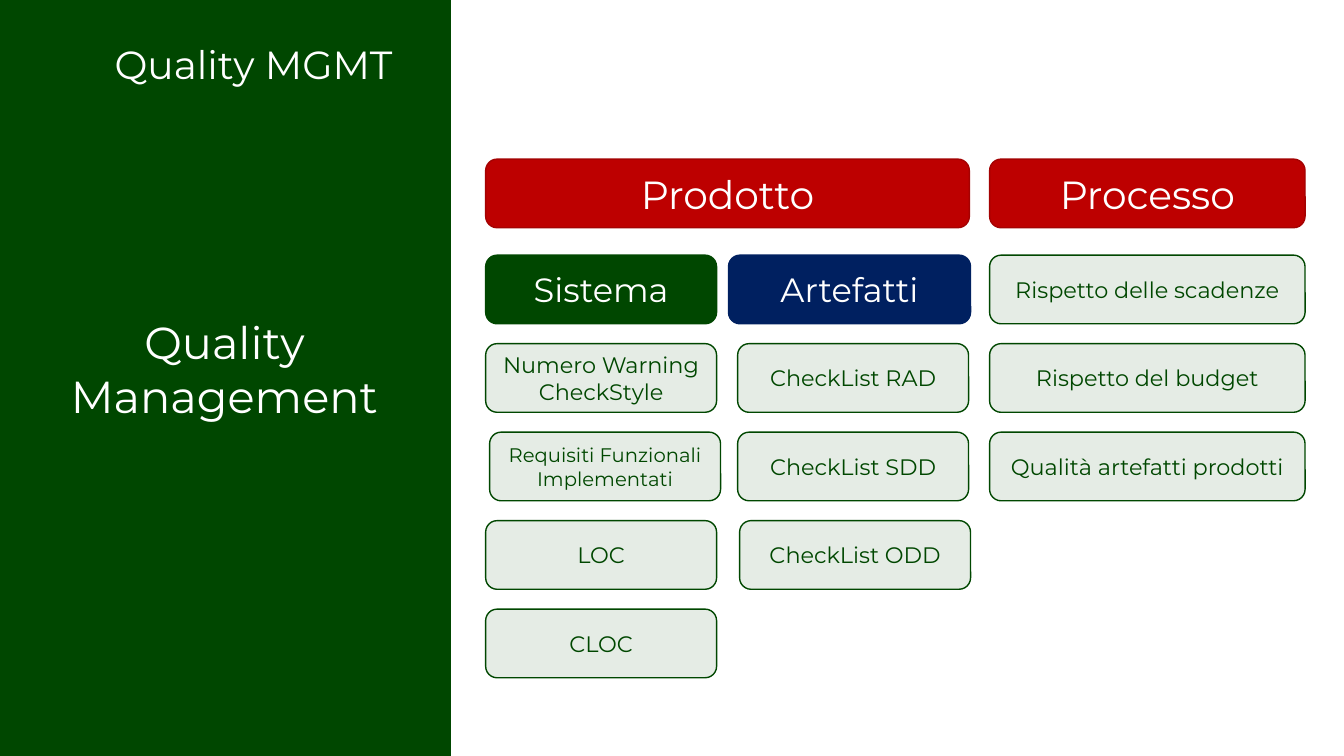
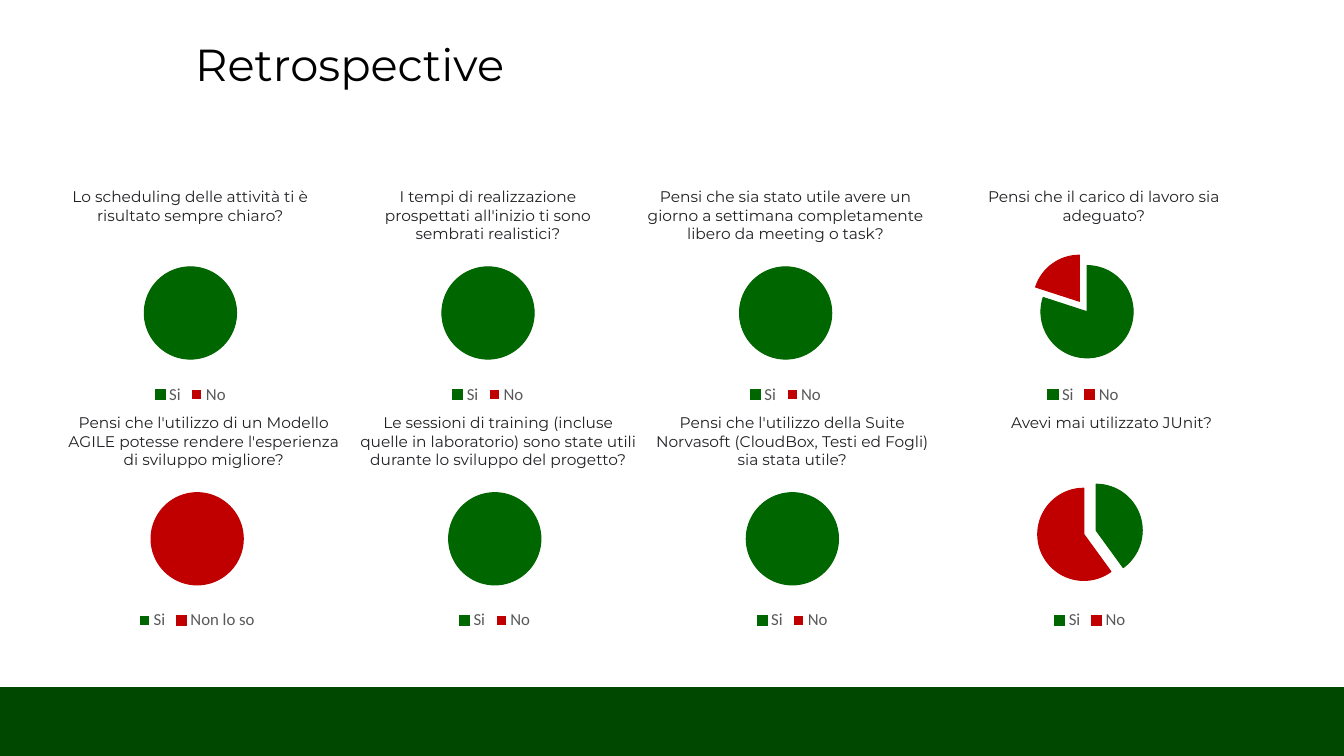
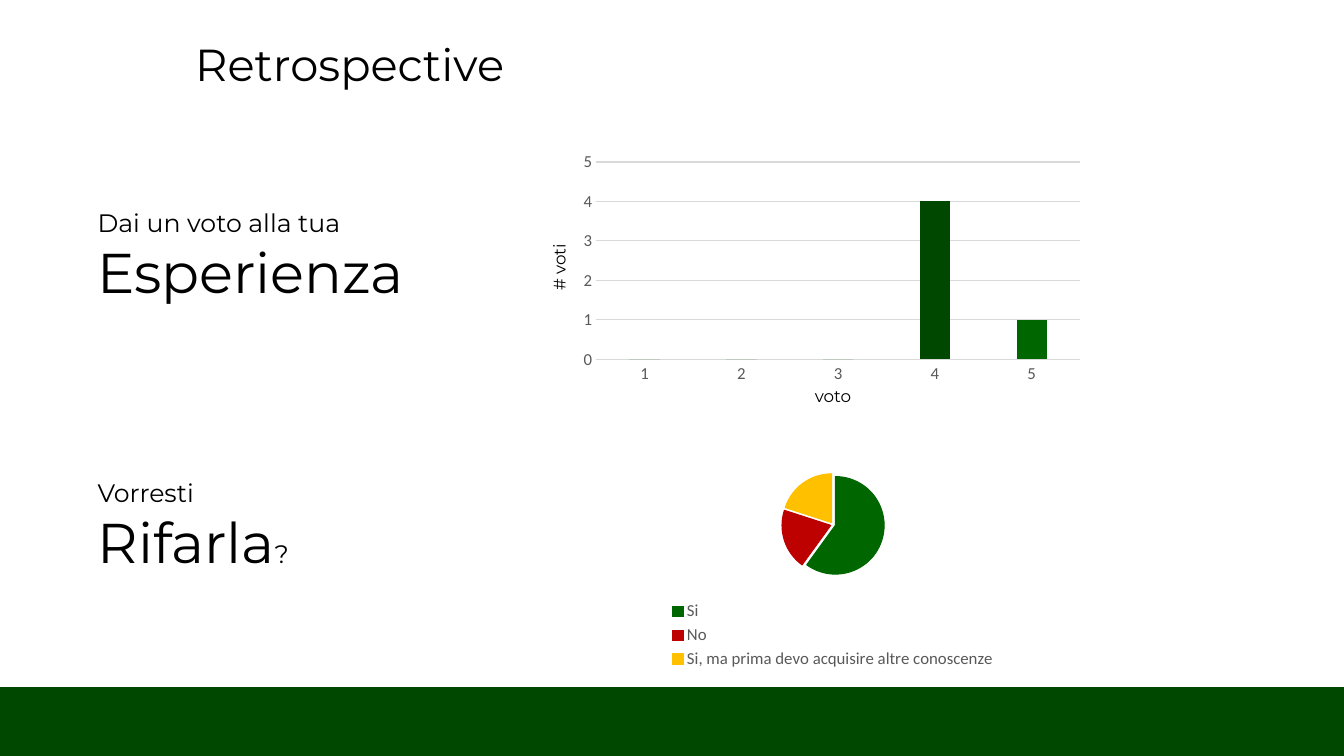
from lxml.etree import SubElement
from pptx import Presentation
from pptx.chart.data import CategoryChartData
from pptx.dml.color import RGBColor
from pptx.enum.chart import XL_CHART_TYPE, XL_LEGEND_POSITION, XL_TICK_MARK
from pptx.enum.shapes import MSO_SHAPE
from pptx.enum.text import MSO_ANCHOR, MSO_AUTO_SIZE, PP_ALIGN
from pptx.oxml.ns import qn
from pptx.util import Cm, Pt

COLOURS = {
    "white": "FFFFFF", "black": "000000", "question": "202124",
    "green": "004700", "leaf": "006600", "blue": "002060",
    "red": "BD0000", "dark red": "A40202", "bright red": "C00000",
    "yellow": "FFC000", "axis": "595959", "grid": "D9D9D9",
}
TEXT_FONT = "Montserrat"
CHART_FONT = "Calibri"
WIDTH, HEIGHT = 33.87, 19.05
CARD_HEIGHT = 1.73


def colour(name):
    return RGBColor.from_string(COLOURS[name])


def lengths(*values):
    return [Cm(value) for value in values]


def write(box, *lines, size, ink="black", align=PP_ALIGN.LEFT, indent=0):
    """Fill a shape with lines; a line is a text or a list of (text, size) spans."""
    frame = box.text_frame
    frame.word_wrap = True
    for index, line in enumerate(lines):
        para = frame.paragraphs[0] if index == 0 else frame.add_paragraph()
        para.alignment = align
        if indent:
            para.level = 1
            para._p.get_or_add_pPr().set("marL", str(Cm(indent)))
        for text, span_size in [(line, size)] if isinstance(line, str) else line:
            span = para.add_run()
            span.text = text
            span.font.name = TEXT_FONT
            span.font.size = Pt(span_size)
            span.font.color.rgb = colour(ink)


def add_text(page, area, *lines, **style):
    box = page.shapes.add_textbox(*lengths(*area))
    write(box, *lines, **style)
    box.text_frame.auto_size = MSO_AUTO_SIZE.SHAPE_TO_FIT_TEXT
    return box


def add_block(page, area, fill, edge=None, kind=MSO_SHAPE.RECTANGLE, opacity=None):
    block = page.shapes.add_shape(kind, *lengths(*area))
    block.shadow.inherit = False
    block.fill.solid()
    block.fill.fore_color.rgb = colour(fill)
    block.line.color.rgb = colour(edge or fill)
    block.line.width = Pt(1)
    if opacity:
        tint = block._element.spPr.find(qn("a:solidFill")).find(qn("a:srgbClr"))
        SubElement(tint, qn("a:alpha"), val=str(opacity * 1000))
    return block


def add_card(page, left, top, width, text, size=16, ink="green", **look):
    area = (left, top, width, CARD_HEIGHT)
    card = add_block(page, area, kind=MSO_SHAPE.ROUNDED_RECTANGLE, **look)
    card.text_frame.vertical_anchor = MSO_ANCHOR.MIDDLE
    write(card, text, size=size, ink=ink, align=PP_ALIGN.CENTER)


def style_font(font, size=12, ink="axis"):
    font.name = CHART_FONT
    font.size = Pt(size)
    font.color.rgb = colour(ink)


def add_plain_chart(page, area, kind, categories, values):
    data = CategoryChartData()
    data.categories = categories
    data.add_series("Series 1", values)
    chart = page.shapes.add_chart(kind, *lengths(*area), data).chart
    chart.has_title = False
    chart.has_legend = False
    style_font(chart.font, size=10, ink="black")
    return chart


def add_pie(page, area, answers, inks, explosion):
    """Draw a pie from a dict of answer and percentage."""
    chart = add_plain_chart(page, area, XL_CHART_TYPE.PIE,
                            list(answers), list(answers.values()))
    chart.has_legend = True
    chart.legend.position = XL_LEGEND_POSITION.BOTTOM
    chart.legend.include_in_layout = False
    style_font(chart.legend.font)
    plot = chart.plots[0]
    plot.vary_by_categories = True
    series = plot.series[0]
    burst = series._element.makeelement(qn("c:explosion"), {"val": str(explosion)})
    series._element.find(qn("c:tx")).addnext(burst)
    for index, (value, ink) in enumerate(zip(answers.values(), inks)):
        look = series.points[index].format
        look.fill.solid()
        look.fill.fore_color.rgb = colour(ink)
        look.line.color.rgb = colour(ink if value else "white")
        look.line.width = Pt(0.75)


def add_vote_columns(page, area, votes):
    chart = add_plain_chart(page, area, XL_CHART_TYPE.COLUMN_CLUSTERED,
                            list(votes), list(votes.values()))
    plot = chart.plots[0]
    plot.vary_by_categories = False
    plot.gap_width = 219
    plot.overlap = -27
    series = plot.series[0]
    series.invert_if_negative = False
    most_voted = series.points[list(votes.values()).index(max(votes.values()))]
    for part, ink in ((series, "leaf"), (most_voted, "green")):
        part.format.fill.solid()
        part.format.fill.fore_color.rgb = colour(ink)

    for axis in (chart.category_axis, chart.value_axis):
        axis.major_tick_mark = axis.minor_tick_mark = XL_TICK_MARK.NONE
        style_font(axis.tick_labels.font)
    scale = chart.value_axis
    scale.minimum_scale, scale.maximum_scale, scale.major_unit = 0, 5, 1
    scale.format.line.fill.background()
    scale.has_major_gridlines = True
    for line in (chart.category_axis.format.line, scale.major_gridlines.format.line):
        line.color.rgb = colour("grid")
        line.width = Pt(0.75)


def add_page(deck):
    return deck.slides.add_slide(deck.slide_layouts[6])


def add_retrospective_page(deck):
    page = add_page(deck)
    add_block(page, (0, HEIGHT - CARD_HEIGHT, WIDTH, CARD_HEIGHT), "green")
    add_text(page, (3.4, 0.81, 19.86, 1.63), "Retrospective", size=32, indent=1.27)
    return page


def add_side_panel(page, width):
    add_block(page, (0, 0, width, HEIGHT), "green")
    add_text(page, (1.42, 7.8, 8.48, 3), "Quality Management",
             size=32, ink="white", align=PP_ALIGN.CENTER)
    add_text(page, (2.64, 0.89, 8.48, 1.45), "Quality MGMT", size=28, ink="white")


def add_metrics_grid(page, left, top):
    """Place the red headings, the two sub-headings and the metric cards."""
    row_top, row_pitch = top + 2.42, 2.23
    process = left + 12.7
    headings = [
        (left, top, 12.19, "Prodotto", 28, "red", "dark red"),
        (process, top, 7.95, "Processo", 28, "red", "dark red"),
        (left, row_top, 5.82, "Sistema", 24, "green", "green"),
        (left + 6.12, row_top, 6.1, "Artefatti", 24, "blue", "blue"),
    ]
    for x, y, width, text, size, fill, edge in headings:
        add_card(page, x, y, width, text, size=size, ink="white", fill=fill, edge=edge)

    # Each column: left, width, first row, then (text, size, shift to the right)
    columns = [
        (left, 5.82, 1, [("Numero Warning CheckStyle", 16, 0),
                         ("Requisiti Funzionali Implementati", 14, 0.1),
                         ("LOC", 16, 0), ("CLOC", 16, 0)]),
        (left + 6.35, 5.82, 1, [("CheckList RAD", 16, 0), ("CheckList SDD", 16, 0),
                                ("CheckList ODD", 16, 0.05)]),
        (process, 7.95, 0, [("Rispetto delle scadenze", 16, 0),
                            ("Rispetto del budget", 16, 0),
                            ("Qualità artefatti prodotti", 16, 0)]),
    ]
    for x, width, first_row, metrics in columns:
        for row, (text, size, shift) in enumerate(metrics, first_row):
            add_card(page, x + shift, row_top + row * row_pitch, width, text,
                     size=size, fill="green", opacity=10)


def add_question(page, left, top, question, answers, shift=0, caption_width=7.54):
    """Place a pie with its question centred above, moved right by shift."""
    width, height = 5.74, 4.24
    add_pie(page, (left, top + 1.45, width, height), answers,
            ("leaf", "bright red"), explosion=14)
    caption_left = left + (width - caption_width) / 2 + shift
    add_text(page, (caption_left, top, caption_width, 1.2), question,
             size=11, ink="question", align=PP_ALIGN.CENTER)


def build_quality(deck):
    page = add_page(deck)
    add_side_panel(page, 11.35)
    add_metrics_grid(page, 12.24, 4.01)


def build_questions(deck):
    page = add_retrospective_page(deck)
    yes = {"Si": 100, "No": 0}
    rows = [
        (1.93, 4.6, [
            ("Lo scheduling delle attività ti è risultato sempre chiaro?", yes, 0),
            ("I tempi di realizzazione prospettati all'inizio ti sono sembrati "
             "realistici?", yes, 0, 6.55),
            ("Pensi che sia stato utile avere un giorno a settimana completamente "
             "libero da meeting o task?", yes, 0),
            ("Pensi che il carico di lavoro sia adeguato?", {"Si": 80, "No": 20}, 0.52),
        ]),
        (2.1, 10.29, [
            ("Pensi che l'utilizzo di un Modello AGILE potesse rendere l'esperienza "
             "di sviluppo migliore?", {"Si": 0, "Non lo so": 100}, 0.17),
            ("Le sessioni di training (incluse quelle in laboratorio) sono state utili "
             "durante lo sviluppo del progetto?", yes, 0.09),
            ("Pensi che l'utilizzo della Suite Norvasoft (CloudBox, Testi ed Fogli) "
             "sia stata utile?", yes, 0),
            ("Avevi mai utilizzato JUnit?", {"Si": 40, "No": 60}, 0.55),
        ]),
    ]
    for left, top, questions in rows:
        for column, question in enumerate(questions):
            add_question(page, left + column * 7.5, top, *question)


def build_votes(deck):
    page = add_retrospective_page(deck)
    add_text(page, (2.21, 5.11, 8.74, 2.74), "Dai un voto alla tua",
             [("Esperienza", 40)], size=18)
    add_vote_columns(page, (14.45, 3.71, 13.03, 6.07),
                     {"1": 0, "2": 0, "3": 0, "4": 4, "5": 1})
    for left, top, text, turn in ((17.96, 9.6, "voto", 0), (11.05, 6.35, "# voti", 270)):
        label = add_text(page, (left, top, 6.07, 0.76), text,
                         size=12, align=PP_ALIGN.CENTER)
        label.rotation = turn
    add_text(page, (2.21, 11.91, 8.74, 3.25), "Vorresti",
             [("Rifarla", 40), ("?", 18)], size=18)
    add_pie(page, (14.99, 11.58, 12.01, 5.38),
            {"Si": 60, "No": 20, "Si, ma prima devo acquisire altre conoscenze": 20},
            ("leaf", "red", "yellow"), explosion=5)


def main():
    deck = Presentation()
    deck.slide_width, deck.slide_height = lengths(WIDTH, HEIGHT)
    for build in (build_quality, build_questions, build_votes):
        build(deck)
    deck.save("out.pptx")


if __name__ == "__main__":
    main()
